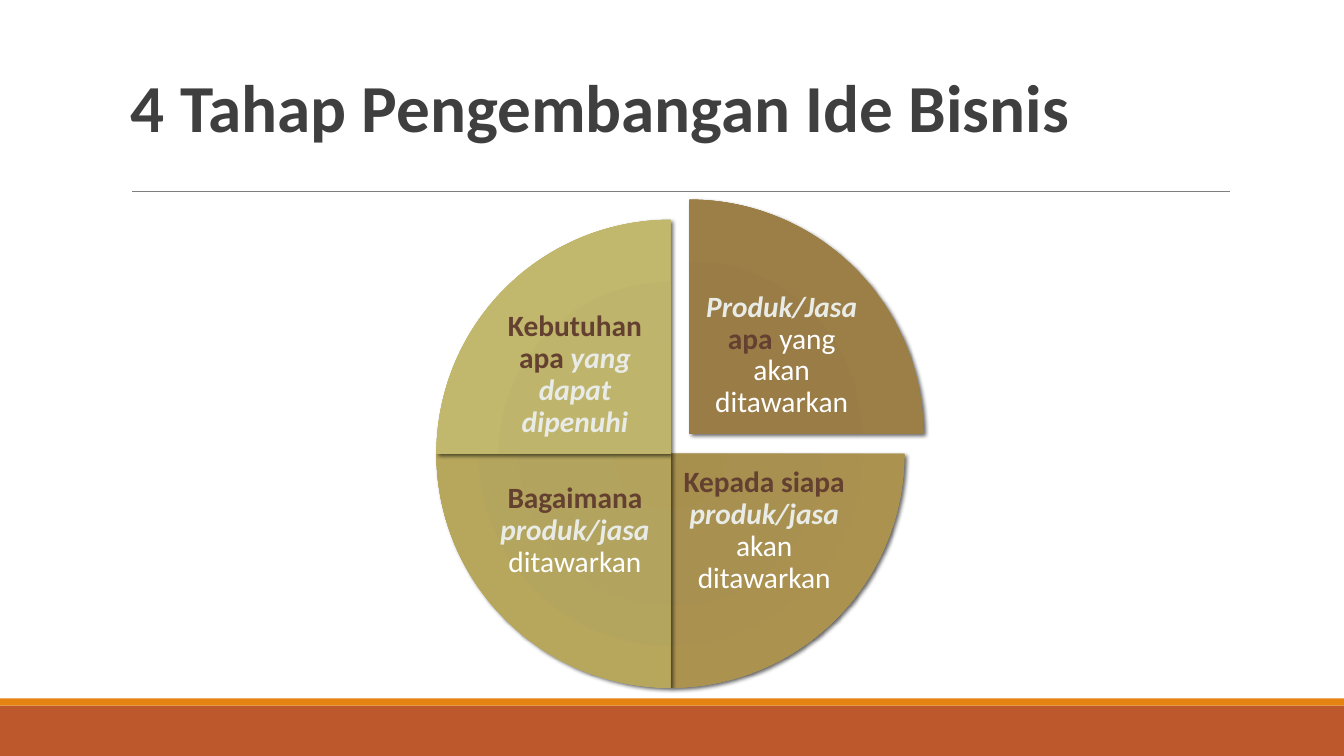
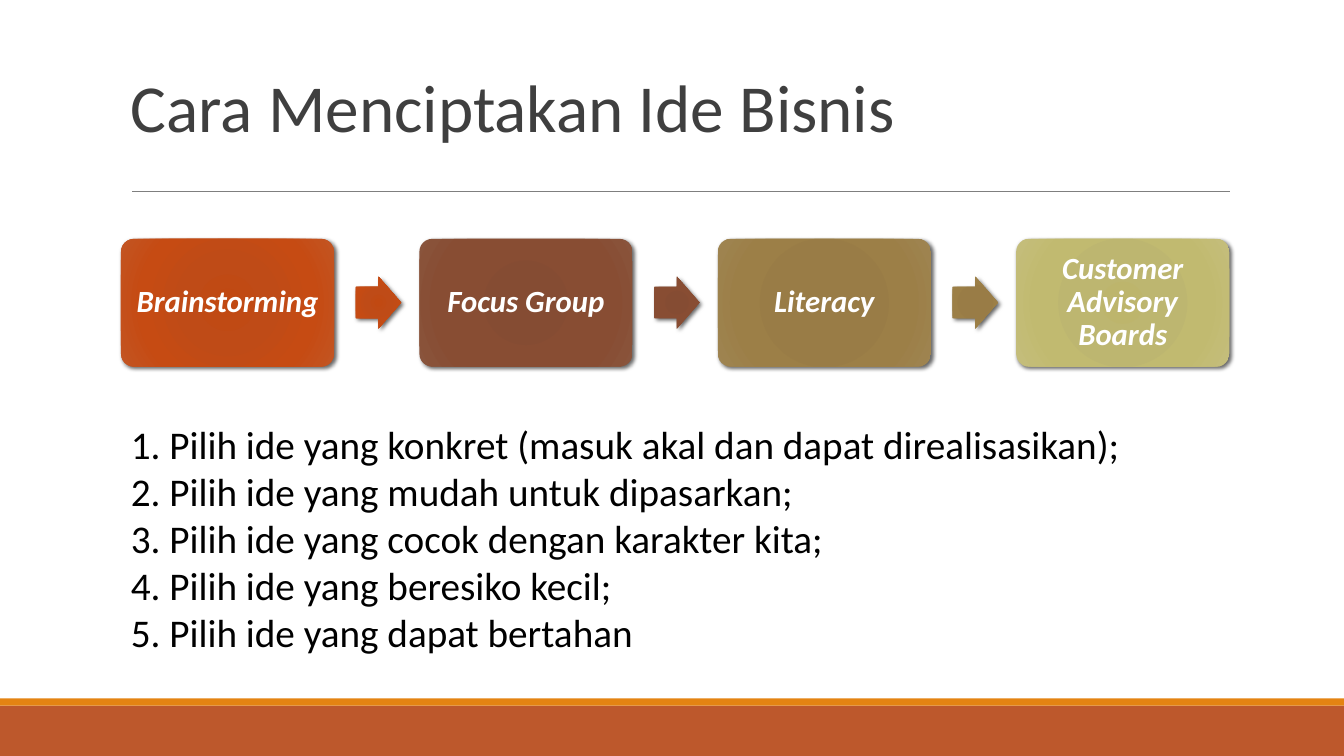
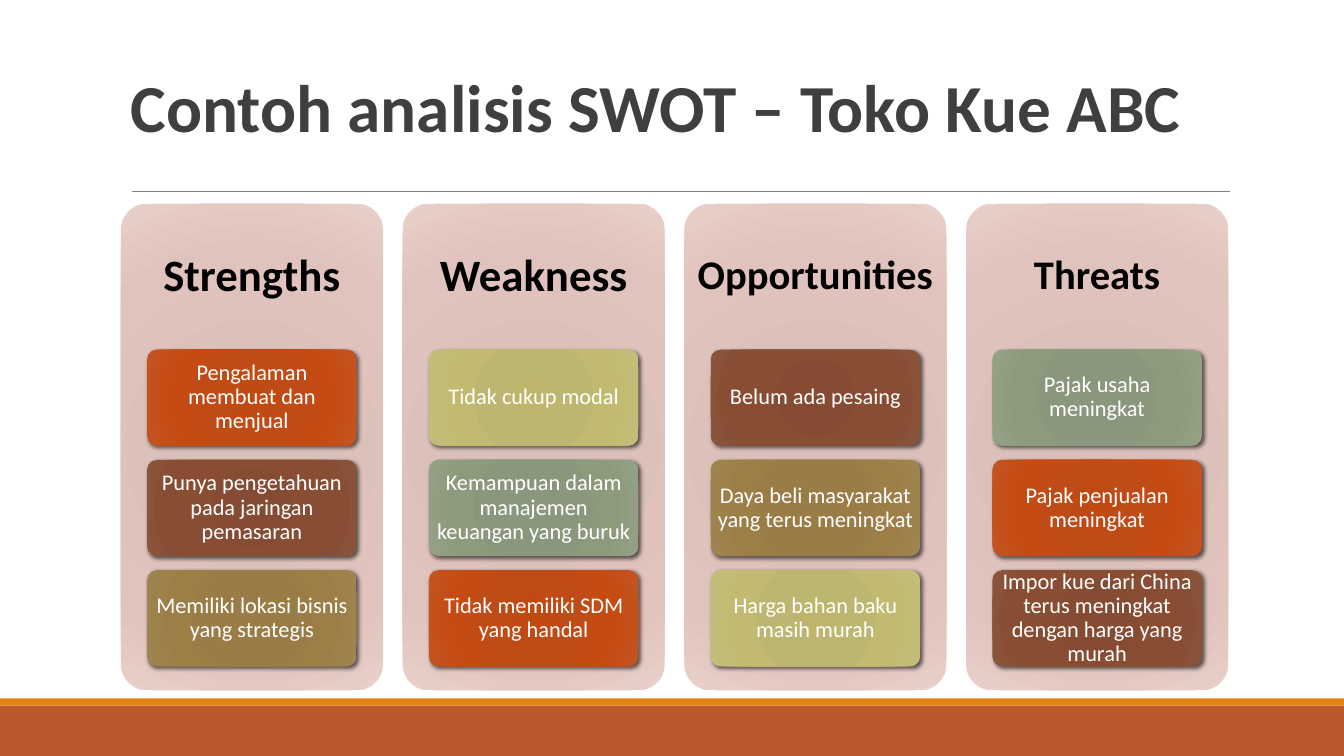
"""Builds three slides on developing a business idea."""
from dataclasses import dataclass

from lxml import etree
from pptx import Presentation
from pptx.dml.color import RGBColor
from pptx.enum.shapes import MSO_CONNECTOR, MSO_SHAPE
from pptx.enum.text import MSO_ANCHOR, PP_ALIGN
from pptx.oxml.ns import qn
from pptx.util import Cm, Pt

RECT, ROUND = MSO_SHAPE.RECTANGLE, MSO_SHAPE.ROUNDED_RECTANGLE
PIE, ARROW = MSO_SHAPE.PIE, MSO_SHAPE.RIGHT_ARROW
STRAIGHT = MSO_CONNECTOR.STRAIGHT
MIDDLE, TOP = MSO_ANCHOR.MIDDLE, MSO_ANCHOR.TOP
LEFT, CENTER = PP_ALIGN.LEFT, PP_ALIGN.CENTER

FONT = "Calibri"
WHITE, BLACK, DARK, GREY = "FFFFFF", "000000", "3F3F3F", "7F7F7F"
RUST, AMBER, BROWN_TEXT, PALE_TEXT = "BD582C", "E48312", "644030", "E9EBE6"

STOPS = (0, 34, 70, 100)
ORANGE = ("C14912", "BF4B17", "C64B13", "C25523")
BROWN = ("854B31", "854C33", "884D33", "89543C")
OCHRE = ("987C44", "997C46", "9C7F47", "9E8451")
SAND = ("A78F4D", "A79050", "AC924F", "AD975B")
STRAW = ("B3A25B", "B2A35E", "B7A75D", "B9AB6A")
LIME = ("BDB36A", "BEB46C", "C1B86D", "C5BC79")
OLIVE = ("BDB56C", "BDB670", "C1BA70", "C5BE7C")
SAGE = ("89977A", "89987C", "8D9B7D", "94A186")
ROSE = ("D9BEB8", "DBC1BA", "E0C3BC", "E8CFC9")

SLIDE_W, SLIDE_H = 33.87, 19.05
MARGIN = 3.05


@dataclass(frozen=True)
class Run:
    """A stretch of text with one look."""
    text: str
    color: str = WHITE
    bold: bool = False
    italic: bool = False


@dataclass(frozen=True)
class Box:
    """A place on the slide in centimetres."""
    left: float
    top: float
    width: float
    height: float

    def emu(self) -> tuple:
        """Return the place as lengths."""
        return Cm(self.left), Cm(self.top), Cm(self.width), Cm(self.height)


@dataclass(frozen=True)
class Slice:
    """A quarter of the pie with its label."""
    left: float
    top: float
    start: int
    end: int
    colors: tuple
    label_left: float
    label_top: float
    runs: tuple


@dataclass(frozen=True)
class Panel:
    """A SWOT column with its cards."""
    title: str
    size: int
    cards: tuple


def key(text: str) -> Run:
    """Return a brown bold run."""
    return Run(text, BROWN_TEXT, True)


def emph(text: str) -> Run:
    """Return a pale bold italic run."""
    return Run(text, PALE_TEXT, True, True)


SLICES = (
    Slice(11.48, 5.03, 162, 0, OCHRE, 17.53, 7.21,
          (emph("Produk/Jasa "), key("apa"), Run(" yang akan ditawarkan"))),
    Slice(11, 5.54, 0, 54, SAND, 17.09, 11.63,
          (key("Kepada siapa "), emph("produk/jasa "), Run("akan ditawarkan"))),
    Slice(11, 5.54, 54, 108, STRAW, 12.32, 11.63,
          (key("Bagaimana "), emph("produk/jasa "), Run("ditawarkan"))),
    Slice(11, 5.54, 108, 162, LIME, 12.32, 7.7,
          (key("Kebutuhan apa "), emph("yang dapat dipenuhi"))),
)
STEPS = (("Brainstorming", ORANGE), ("Focus Group", BROWN),
         ("Literacy", OCHRE), ("Customer Advisory Boards", OLIVE))
TIPS = (
    "Pilih ide yang konkret (masuk akal dan dapat direalisasikan);",
    "Pilih ide yang mudah untuk dipasarkan;",
    "Pilih ide yang cocok dengan karakter kita;",
    "Pilih ide yang beresiko kecil;",
    "Pilih ide yang dapat bertahan",
)
PANELS = (
    Panel("Strengths", 32, (
        ("Pengalaman membuat dan menjual", ORANGE),
        ("Punya pengetahuan pada jaringan pemasaran", BROWN),
        ("Memiliki lokasi bisnis yang strategis", OCHRE))),
    Panel("Weakness", 32, (
        ("Tidak cukup modal", OLIVE),
        ("Kemampuan dalam manajemen keuangan yang buruk", SAGE),
        ("Tidak memiliki SDM yang handal", ORANGE))),
    Panel("Opportunities", 29, (
        ("Belum ada pesaing", BROWN),
        ("Daya beli masyarakat yang terus meningkat", OCHRE),
        ("Harga bahan baku masih murah", OLIVE))),
    Panel("Threats", 29, (
        ("Pajak usaha meningkat", SAGE),
        ("Pajak penjualan meningkat", ORANGE),
        ("Impor kue dari China terus meningkat dengan harga yang murah", BROWN))),
)


def rgb(color: str) -> RGBColor:
    """Turn a hex string into a colour."""
    return RGBColor.from_string(color)


def add_node(parent, tag: str, **attrs):
    """Append an XML child with attributes."""
    return etree.SubElement(parent, qn(tag), {k: str(v) for k, v in attrs.items()})


def write(s, paragraphs, size: int, inset: tuple, align=CENTER,
          anchor=MIDDLE, spacing: float = 0.9) -> None:
    """Fill a shape with paragraphs of runs."""
    tf = s.text_frame
    side, edge = (Cm(v) for v in inset)
    frame = {"word_wrap": True, "vertical_anchor": anchor, "margin_left": side,
             "margin_right": side, "margin_top": edge, "margin_bottom": edge}
    for name, value in frame.items():
        setattr(tf, name, value)
    for i, runs in enumerate(paragraphs):
        p = tf.add_paragraph() if i else tf.paragraphs[0]
        p.alignment, p.line_spacing = align, spacing
        for run in runs:
            r = p.add_run()
            r.text = run.text
            look = {"name": FONT, "size": Pt(size), "bold": run.bold,
                    "italic": run.italic}
            for name, value in look.items():
                setattr(r.font, name, value)
            r.font.color.rgb = rgb(run.color)


def add_text(slide, box: Box, paragraphs, size: int, inset: tuple, **options):
    """Add a text box."""
    s = slide.shapes.add_textbox(*box.emu())
    write(s, paragraphs, size, inset, **options)
    return s


def add_plain(slide, kind, box: Box, adjust: tuple = ()):
    """Add a shape without line or shadow."""
    s = slide.shapes.add_shape(kind, *box.emu())
    for i, value in enumerate(adjust):
        s.adjustments[i] = value
    s.line.fill.background()
    s.shadow.inherit = False
    return s


def add_glossy(slide, kind, box: Box, colors: tuple, adjust: tuple,
               shadow: bool = True):
    """Add a shape with a round gradient and an optional shadow."""
    s = add_plain(slide, kind, box, adjust)
    props = s.fill._xPr
    grad = etree.Element(qn("a:gradFill"), {"rotWithShape": "1"})
    stops = add_node(grad, "a:gsLst")
    for pos, color in zip(STOPS, colors):
        add_node(add_node(stops, "a:gs", pos=pos * 1000), "a:srgbClr", val=color)
    add_node(add_node(grad, "a:path", path="circle"), "a:fillToRect",
             l=50000, t=50000, r=50000, b=50000)
    props.find(qn("a:prstGeom")).addnext(grad)
    if shadow:
        outer = add_node(props.find(qn("a:effectLst")), "a:outerShdw",
                         blurRad=Pt(3), dist=Pt(2), dir=45 * 60000, rotWithShape=0)
        add_node(add_node(outer, "a:srgbClr", val=BLACK), "a:alpha", val=60000)
    return s


def add_page(prs, title: str, bold: bool = True):
    """Add a slide with bands, rule and title."""
    slide = prs.slides.add_slide(prs.slide_layouts[6])
    for top, height, color in ((17.78, 1.27, RUST), (17.6, 0.18, AMBER)):
        s = add_plain(slide, RECT, Box(0, top, SLIDE_W, height))
        s.fill.solid()
        s.fill.fore_color.rgb = rgb(color)
    rule = slide.shapes.add_connector(STRAIGHT, Cm(3.33), Cm(4.83), Cm(31), Cm(4.83))
    rule.line.color.rgb = rgb(GREY)
    rule.line.width = Pt(0.75)
    add_node(rule.line._get_or_add_ln().getparent(), "a:effectLst")
    add_text(slide, Box(MARGIN, 0.8, 27.94, 4.03), [[Run(title, DARK, bold)]],
             48, (0.25, 0.13), align=LEFT, spacing=0.85)
    return slide


def add_stages(prs) -> None:
    """Add the slide with the four-part pie."""
    slide = add_page(prs, "4 Tahap Pengembangan Ide Bisnis")
    for part in SLICES:
        add_glossy(slide, PIE, Box(part.left, part.top, 11.79, 11.79),
                   part.colors, (part.start, part.end))
        add_text(slide, Box(part.label_left, part.label_top, 4.34, 3.5),
                 [part.runs], 21, (0.08, 0.08))


def add_methods(prs) -> None:
    """Add the slide with the process row and the numbered list."""
    slide = add_page(prs, "Cara Menciptakan Ide Bisnis", bold=False)
    for i, (name, colors) in enumerate(STEPS):
        left = MARGIN + i * 7.52
        s = add_glossy(slide, ROUND, Box(left, 6.02, 5.37, 3.22), colors, (0.1,))
        write(s, [[Run(name, WHITE, True, True)]], 22, (0.23, 0.23))
        if i < len(STEPS) - 1:
            add_glossy(slide, ARROW, Box(left + 5.92, 6.97, 1.14, 1.31),
                       colors, (0.6, 0.5))
    s = add_text(slide, Box(MARGIN, 10.46, 26.26, 7.01),
                 [[Run(tip, BLACK)] for tip in TIPS], 28, (0.25, 0.13),
                 align=LEFT, anchor=TOP, spacing=1.0)
    for p in s.text_frame.paragraphs:
        props = p._p.get_or_add_pPr()
        props.set("marL", str(Cm(0.97)))
        props.set("indent", str(Cm(-0.97)))
        add_node(props, "a:buFont", typeface="+mj-lt")
        add_node(props, "a:buAutoNum", type="arabicPeriod")


def add_swot(prs) -> None:
    """Add the slide with the SWOT columns."""
    slide = add_page(prs, "Contoh analisis SWOT – Toko Kue ABC")
    for i, panel in enumerate(PANELS):
        left = MARGIN + i * 7.1
        add_glossy(slide, ROUND, Box(left, 5.13, 6.6, 12.27), ROSE, (0.1,),
                   shadow=False)
        add_text(slide, Box(left, 5.13, 6.6, 3.68),
                 [[Run(panel.title, BLACK, True)]], panel.size, (0.3, 0.3))
        for j, (text, colors) in enumerate(panel.cards):
            s = add_glossy(slide, ROUND, Box(left + 0.66, 8.81 + j * 2.78, 5.28, 2.42),
                           colors, (0.1,))
            write(s, [[Run(text)]], 16, (0.1, 0.08))


def main() -> None:
    """Build and save the presentation."""
    prs = Presentation()
    prs.slide_width, prs.slide_height = Cm(SLIDE_W), Cm(SLIDE_H)
    add_stages(prs)
    add_methods(prs)
    add_swot(prs)
    prs.save("out.pptx")


if __name__ == "__main__":
    main()
